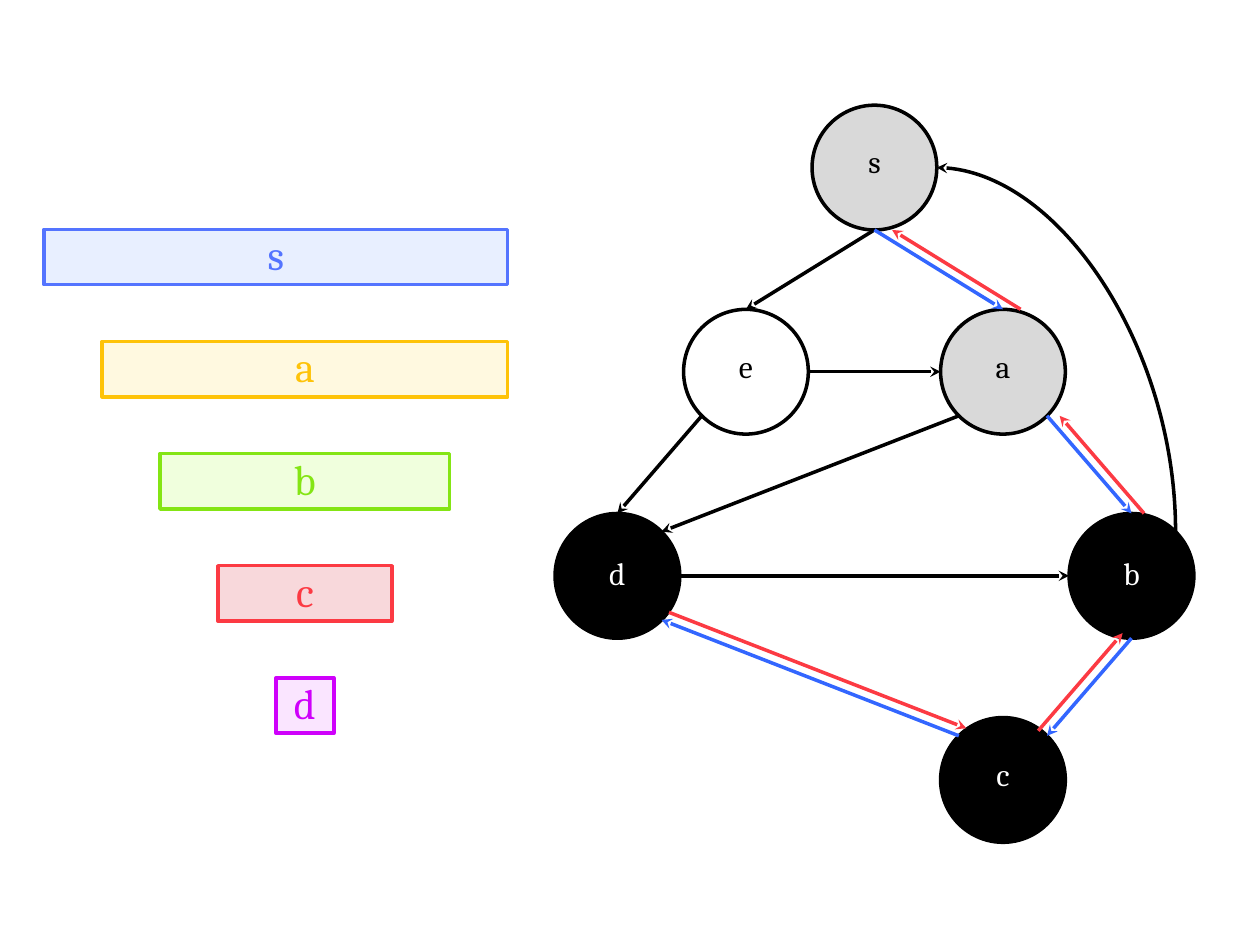
import pptx
import pptx.util
import pptx.dml.color
import pptx.enum.shapes
import pptx.enum.text
import pptx.oxml.ns
import pptx.oxml.xmlchemy

Inch = pptx.util.Inches
Shape = pptx.enum.shapes.MSO_SHAPE
Kind = pptx.enum.shapes.MSO_CONNECTOR

BLACK, WHITE, GREY = "000000", "FFFFFF", "D9D9D9"
BLUE, RED = "3366FF", "FC3A43"
SIZE = 0.99
DIAG = 0.5 ** 0.5
SITES = {
    "top": (0, -1), "bottom": (0, 1), "left": (-1, 0), "right": (1, 0),
    "nw": (-DIAG, -DIAG), "ne": (DIAG, -DIAG),
    "sw": (-DIAG, DIAG), "se": (DIAG, DIAG),
}
NODES = {
    "s": (2, 0, GREY, BLACK, 0.1),
    "e": (1, 1, WHITE, BLACK, 0.1),
    "a": (3, 1, GREY, BLACK, 0.1),
    "d": (0, 2, BLACK, WHITE, 0.05),
    "b": (4, 2, BLACK, WHITE, 0.05),
    "c": (3, 3, BLACK, WHITE, 0.1),
}
EDGES = [
    ("s", "bottom", "e", "top"),
    ("e", "sw", "d", "top"),
    ("d", "right", "b", "left"),
    ("e", "right", "a", "left"),
    ("a", "sw", "d", "ne"),
]
VISITS = [
    ("s", "bottom", "a", "top", (0.14, 0)),
    ("a", "se", "b", "top", (0.1, 0)),
    ("b", "bottom", "c", "ne", (-0.07, -0.04)),
    ("c", "nw", "d", "se", (0.06, -0.06)),
]
BARS = [
    ("s", 8, "E8EFFF", "5474FF"),
    ("a", 7, "FFF9E0", "FEC309"),
    ("b", 5, "F0FFDD", "84E514"),
    ("c", 3, "F8D8DB", RED),
    ("d", 1, "FAE5FF", "CF00FB"),
]


def paint(form, tint):
    form.rgb = pptx.dml.color.RGBColor.from_string(tint)


def add_box(slide, kind, place, text, fill, edge, ink, size, pads):
    box = slide.shapes.add_shape(kind, *map(Inch, place))
    box.shadow.inherit = False
    box.fill.solid()
    paint(box.fill.fore_color, fill)
    paint(box.line.color, edge)
    box.line.width = pptx.util.Pt(2)
    frame = box.text_frame
    frame.text = text
    frame.vertical_anchor = pptx.enum.text.MSO_ANCHOR.MIDDLE
    side, low = pads
    frame.margin_left = frame.margin_right = Inch(side)
    frame.margin_top, frame.margin_bottom = 0, Inch(low)
    line = frame.paragraphs[0]
    line.alignment = pptx.enum.text.PP_ALIGN.CENTER
    font = line.runs[0].font
    font.name, font.size = "Cambria", pptx.util.Pt(size)
    paint(font.color, ink)


def middle(name):
    col, row = NODES[name][:2]
    return 4.9 + 1.02 * col, 1.33 + 1.62 * row


def site(name, side, shift=(0, 0)):
    return [mid + SIZE / 2 * way + move
            for mid, way, move in zip(middle(name), SITES[side], shift)]


def add_node(slide, name):
    fill, ink, low = NODES[name][2:]
    left, top = (mid - SIZE / 2 for mid in middle(name))
    add_box(slide, Shape.OVAL, (left, top, SIZE, SIZE), name,
            fill, BLACK, ink, 18, (0, low))


def add_bar(slide, row, name, span, fill, tint):
    unit = 0.46
    place = (0.35 + unit * row, 1.82 + 0.89 * row, unit * span, 0.44)
    add_box(slide, Shape.RECTANGLE, place, name,
            fill, tint, tint, 24, (0.1, 0.05))


def add_link(slide, start, end, tint, tip="tailEnd", kind=Kind.STRAIGHT):
    link = slide.shapes.add_connector(kind, *map(Inch, (*start, *end)))
    paint(link.line.color, tint)
    link.line.width = pptx.util.Pt(2)
    qn = pptx.oxml.ns.qn
    make = pptx.oxml.xmlchemy.OxmlElement
    props = link.element.spPr
    mark = make(f"a:{tip}")
    mark.set("type", "stealth")
    props.find(qn("a:ln")).append(mark)
    props.append(make("a:effectLst"))
    if kind == Kind.CURVE:
        props.find(qn("a:prstGeom")).set("prst", "curvedConnector2")


def main():
    deck = pptx.Presentation()
    deck.slide_width, deck.slide_height = Inch(10), Inch(7.5)
    slide = deck.slides.add_slide(deck.slide_layouts[6])
    for name in NODES:
        add_node(slide, name)
    for near, out, far, into in EDGES:
        add_link(slide, site(near, out), site(far, into), BLACK)
    for near, out, far, into, _ in VISITS:
        add_link(slide, site(near, out), site(far, into), BLUE)
    add_link(slide, site("s", "right"), site("b", "ne"), BLACK,
             "headEnd", Kind.CURVE)
    for near, out, far, into, shift in VISITS:
        add_link(slide, site(near, out, shift), site(far, into, shift),
                 RED, "headEnd")
    for row, bar in enumerate(BARS):
        add_bar(slide, row, *bar)
    deck.save("out.pptx")


if __name__ == "__main__":
    main()
